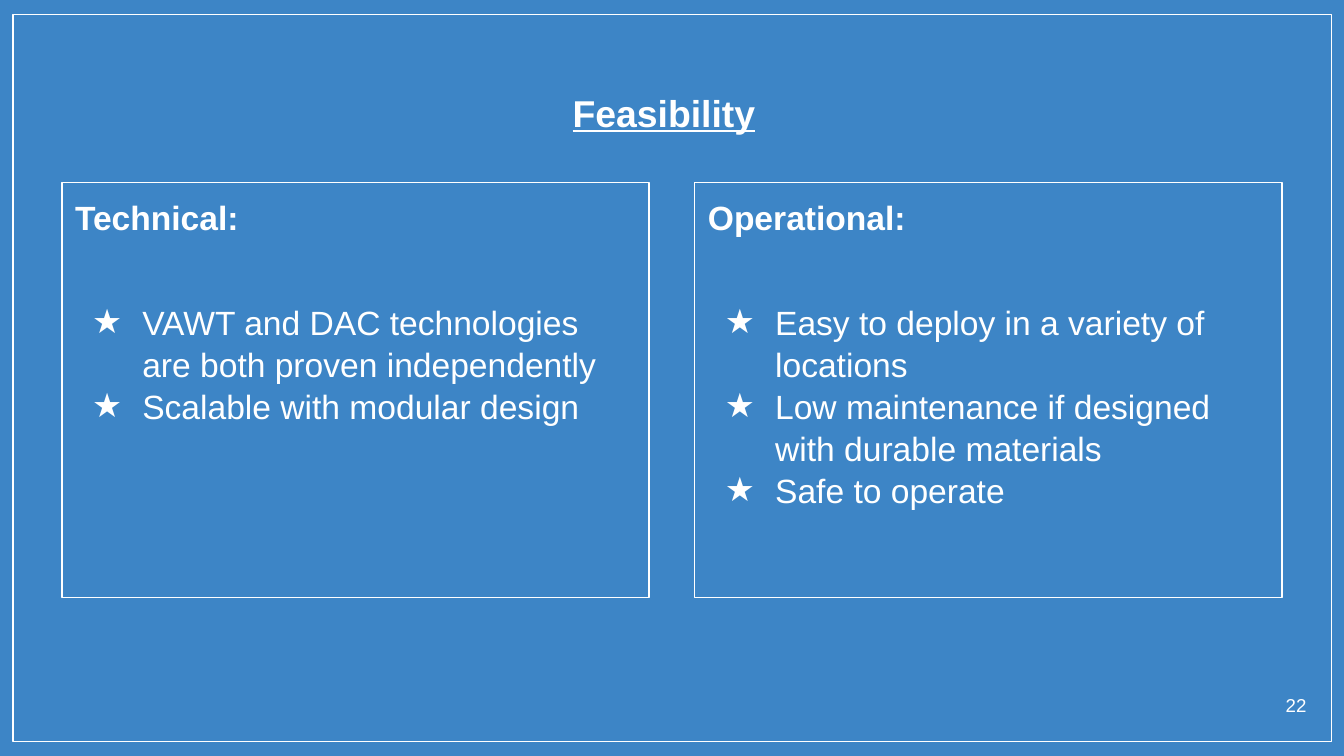
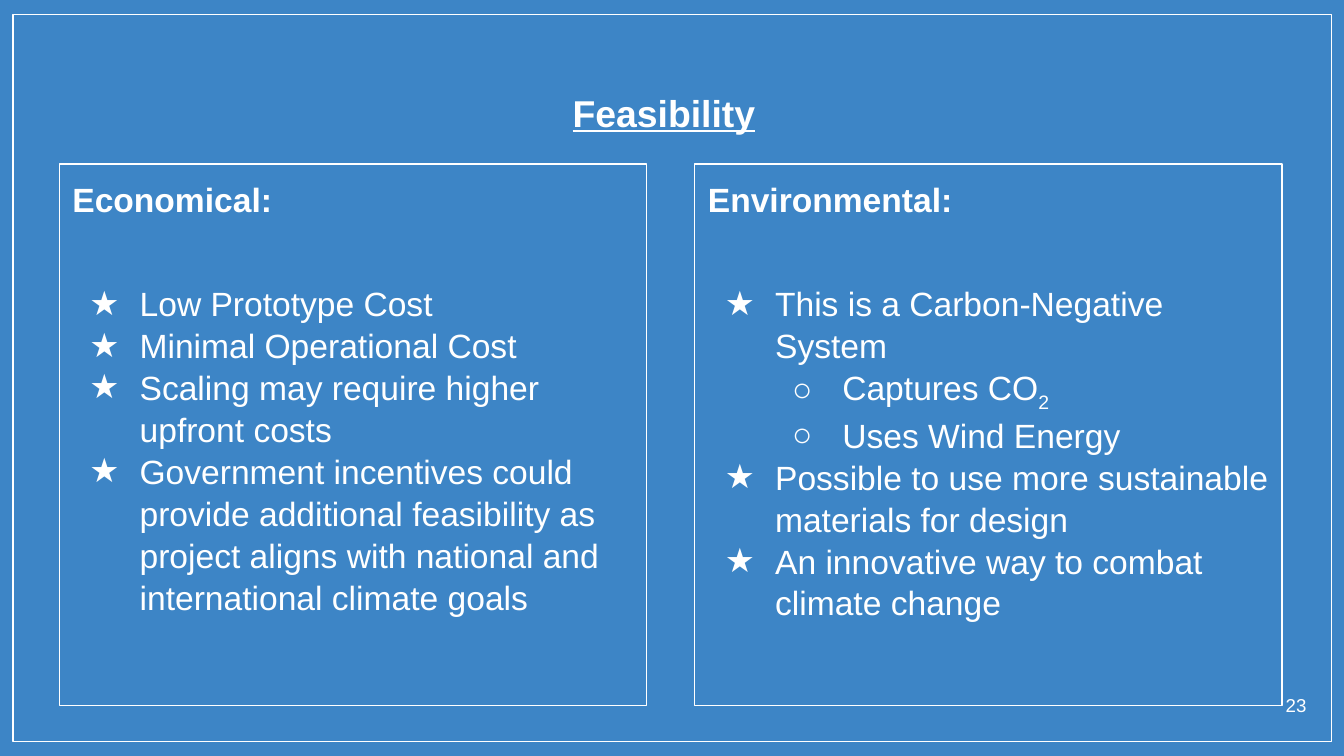
"""Build two feasibility slides, each with a pair of outlined cards."""
import pptx
import pptx.dml.color
import pptx.enum.shapes
import pptx.enum.text
import pptx.oxml.ns
import pptx.util
from lxml import etree

Cm, Pt = pptx.util.Cm, pptx.util.Pt
Align = pptx.enum.text.PP_ALIGN

BLUE, WHITE, FONT = "3D85C6", "FFFFFF", "Arial"
TITLE = "Feasibility"
STARS = "★○"
FRAME = (0.25, 0.28, 24.92, 13.74)
HEAD = (1.12, 1.37, 22.86, 1.14)
PAGE = (23.67, 12.9, 1.27, 0.81)
WIDE, INSET, STEP, HANG = 11.1, 0.25, 1.27, 0.95

SLIDES = [
    {"page": 22, "top": 3.45, "tall": 7.85, "cards": [
        (1.17, "Technical:", [
            (0, "VAWT and DAC technologies are both proven independently"),
            (0, "Scalable with modular design")]),
        (13.13, "Operational:", [
            (0, "Easy to deploy in a variety of locations"),
            (0, "Low maintenance if designed with durable materials"),
            (0, "Safe to operate")])]},
    {"page": 23, "top": 3.1, "tall": 10.24, "cards": [
        (1.12, "Economical:", [
            (0, "Low Prototype Cost"),
            (0, "Minimal Operational Cost"),
            (0, "Scaling may require higher upfront costs"),
            (0, "Government incentives could provide additional feasibility "
                "as project aligns with national and international climate "
                "goals")]),
        (13.13, "Environmental:", [
            (0, "This is a Carbon-Negative System"),
            (1, "Captures CO_2"),
            (1, "Uses Wind Energy"),
            (0, "Possible to use more sustainable materials for design"),
            (0, "An innovative way to combat climate change")])]},
]


def color(code):
    return pptx.dml.color.RGBColor.from_string(code)


def write(para, text, size=18, bold=False, under=False, align=Align.LEFT,
          before=0, lines=None):
    para.alignment = align
    para.space_before = Pt(before)
    if lines:
        para.line_spacing = lines
    for num, part in enumerate(text.split("_")):
        run = para.add_run()
        run.text = part
        font = run.font
        font.name, font.size = FONT, Pt(size)
        font.bold, font.underline = bold, under
        font.color.rgb = color(WHITE)
        if num:
            font._element.set("baseline", "-25000")


def bullet(para, level):
    para.level = level
    props = para._p.get_or_add_pPr()
    props.set("marL", str(Cm(STEP * (level + 1))))
    props.set("indent", str(-Cm(HANG)))
    qn = pptx.oxml.ns.qn
    tint = etree.SubElement(props, qn("a:buClr"))
    etree.SubElement(tint, qn("a:srgbClr"), val=WHITE)
    etree.SubElement(props, qn("a:buFont"), typeface=FONT)
    etree.SubElement(props, qn("a:buChar"), char=STARS[level])


def pad(shape, top=INSET):
    frame = shape.text_frame
    frame.word_wrap = True
    frame.vertical_anchor = pptx.enum.text.MSO_ANCHOR.TOP
    frame.margin_left = frame.margin_right = frame.margin_bottom = Cm(INSET)
    frame.margin_top = Cm(top)
    return frame


def label(slide, area, text, top=INSET, **style):
    box = slide.shapes.add_textbox(*map(Cm, area))
    write(pad(box, top).paragraphs[0], text, **style)


def outline(slide, area):
    kind = pptx.enum.shapes.MSO_SHAPE.RECTANGLE
    shape = slide.shapes.add_shape(kind, *map(Cm, area))
    shape.shadow.inherit = False
    shape.fill.background()
    shape.line.color.rgb = color(WHITE)
    shape.line.width = Pt(0.75)
    return shape


def card(slide, area, head, items):
    frame = pad(outline(slide, area))
    write(frame.paragraphs[0], head, bold=True, lines=1.04)
    for num, (level, text) in enumerate(items):
        para = frame.add_paragraph()
        bullet(para, level)
        write(para, text, before=0 if num else 33.6, lines=1.04)


def main():
    deck = pptx.Presentation()
    deck.slide_width, deck.slide_height = Cm(25.4), Cm(14.29)
    fill = deck.slide_master.background.fill
    fill.solid()
    fill.fore_color.rgb = color(BLUE)
    for data in SLIDES:
        slide = deck.slides.add_slide(deck.slide_layouts[6])
        outline(slide, FRAME)
        label(slide, HEAD, TITLE, top=0.33, size=20, bold=True, under=True,
              align=Align.CENTER)
        for left, head, items in data["cards"]:
            card(slide, (left, data["top"], WIDE, data["tall"]), head, items)
        label(slide, PAGE, str(data["page"]), size=10, align=Align.RIGHT)
    deck.save("out.pptx")


if __name__ == "__main__":
    main()
